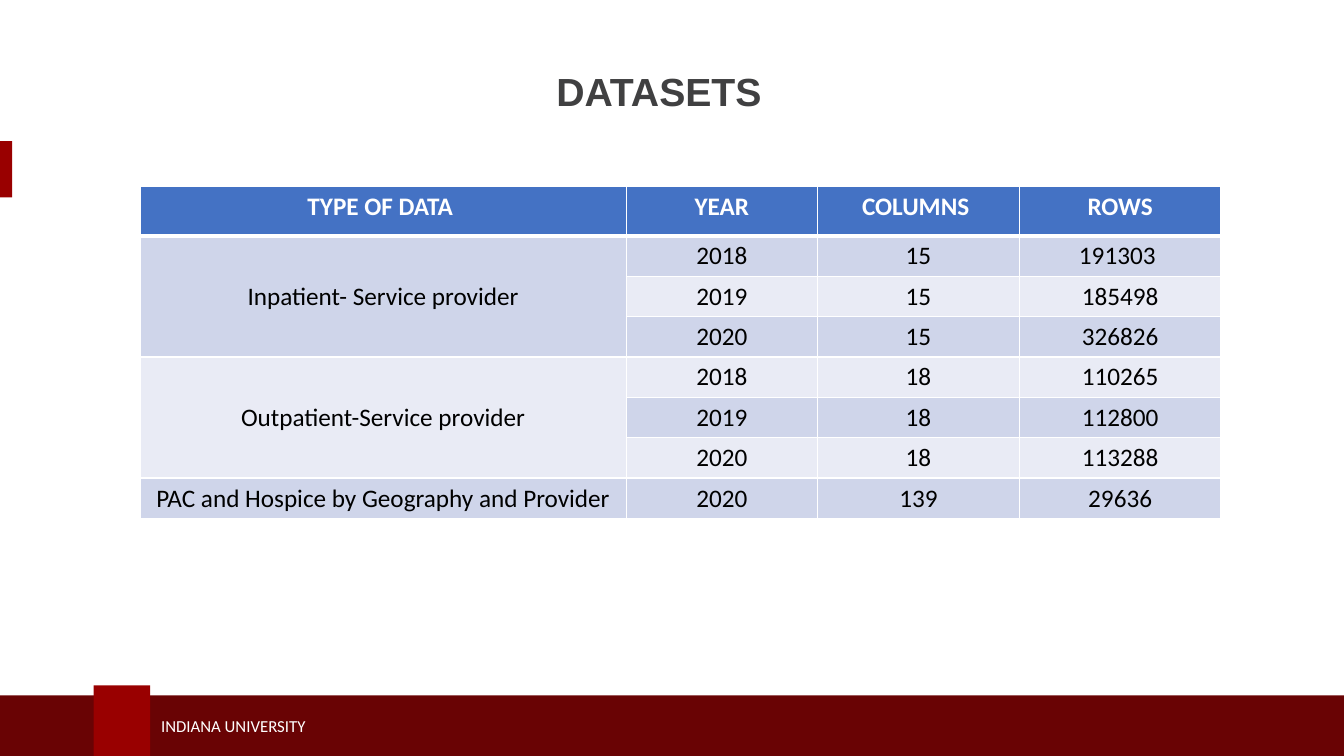
from lxml import etree
from pptx import Presentation
from pptx.dml.color import RGBColor
from pptx.enum.shapes import MSO_SHAPE
from pptx.enum.text import MSO_ANCHOR as ANCHOR, PP_ALIGN as ALIGN
from pptx.oxml.ns import qn
from pptx.util import Inches, Pt

CRIMSON = RGBColor(0x99, 0x00, 0x00)
DARK_RED = RGBColor(0x69, 0x03, 0x04)
CHARCOAL = RGBColor(0x40, 0x40, 0x41)
WHITE = RGBColor(0xFF, 0xFF, 0xFF)
BLACK = RGBColor(0, 0, 0)
HEADER_BLUE = RGBColor(0x44, 0x72, 0xC4)
BAND_DARK = RGBColor(0xCF, 0xD5, 0xEA)
BAND_LIGHT = RGBColor(0xE9, 0xEB, 0xF5)

SLIDE_W, SLIDE_H = 13.33, 7.5
COL_WIDTHS = [4.82, 1.9, 2, 2]
HEADER_H, ROW_H = 0.49, 0.4
HEADINGS = ["TYPE OF DATA ", "YEAR", "COLUMNS ", "ROWS"]
DATASETS = [
    ("Inpatient- Service provider", [
        ("2018", "15", "191303 "),
        ("2019", "15", "185498"),
        ("2020", "15", "326826")]),
    ("Outpatient-Service provider", [
        ("2018", "18", "110265"),
        ("2019", "18", "112800"),
        ("2020", "18", "113288")]),
    ("PAC and Hospice by Geography and Provider", [
        ("2020", "139", "29636")]),
]


def add_run(p, text, font, size, color, bold=False):
    r = p.add_run()
    r.text = text
    r.font.name = font
    r.font.size = Pt(size)
    r.font.bold = bold
    r.font.color.rgb = color


def add_block(slide, x, y, w, h, color):
    sp = slide.shapes.add_shape(MSO_SHAPE.RECTANGLE, Inches(x), Inches(y), Inches(w), Inches(h))
    sp.shadow.inherit = False
    sp.fill.solid()
    sp.fill.fore_color.rgb = color
    sp.line.fill.background()


def add_footer(slide, y):
    """Dark band down to the slide's foot, with a raised tab and the name."""
    tab_x, tab_w, tab_rise = 0.93, 0.56, 0.1
    add_block(slide, 0, y, SLIDE_W, SLIDE_H - y, DARK_RED)
    add_block(slide, tab_x, y - tab_rise, tab_w, SLIDE_H - y + tab_rise, CRIMSON)
    tb = slide.shapes.add_textbox(Inches(tab_x + tab_w + 0.01), Inches(y + 0.15),
                                  Inches(5.27), Inches(0.3))
    tf = tb.text_frame
    tf.word_wrap = True
    tf.vertical_anchor = ANCHOR.MIDDLE
    add_run(tf.paragraphs[0], "INDIANA UNIVERSITY", "Calibri", 12, WHITE)


def add_title(slide, x, y, w, h):
    title = slide.shapes.title
    title.left, title.top, title.width, title.height = map(Inches, (x, y, w, h))
    tf = title.text_frame
    tf.vertical_anchor = ANCHOR.MIDDLE
    p = tf.paragraphs[0]
    p.alignment = ALIGN.CENTER
    p.line_spacing = 0.9
    add_run(p, "DATASETS", "Arial", 28, CHARCOAL, bold=True)


def style_cell(cell, fill, bottom=1):
    """Solid fill with white borders on all four sides."""
    tc_pr = cell._tc.get_or_add_tcPr()
    for side, width in (("L", 1), ("R", 1), ("T", 1), ("B", bottom)):
        ln = etree.SubElement(tc_pr, qn(f"a:ln{side}"), w=str(Pt(width)))
        line_fill = etree.SubElement(ln, qn("a:solidFill"))
        etree.SubElement(line_fill, qn("a:srgbClr"), val=str(WHITE))
    cell.fill.solid()
    cell.fill.fore_color.rgb = fill


def write_cell(cell, text, color=BLACK, bold=False):
    p = cell.text_frame.paragraphs[0]
    p.alignment = ALIGN.CENTER
    add_run(p, text, "Calibri", 18, color, bold)


def add_datasets_table(slide, x, y):
    body_rows = sum(len(years) for _, years in DATASETS)
    table = slide.shapes.add_table(
        body_rows + 1, len(COL_WIDTHS), Inches(x), Inches(y),
        Inches(sum(COL_WIDTHS)), Inches(HEADER_H + body_rows * ROW_H)).table
    for col, width in zip(table.columns, COL_WIDTHS):
        col.width = Inches(width)
    for i, row in enumerate(table.rows):
        row.height = Inches(ROW_H if i else HEADER_H)
        for cell in row.cells:
            if i == 0:
                style_cell(cell, HEADER_BLUE, bottom=3)
            else:
                style_cell(cell, BAND_DARK if i % 2 else BAND_LIGHT)

    # Header row
    for c, heading in enumerate(HEADINGS):
        write_cell(table.cell(0, c), heading, WHITE, bold=True)

    # One merged name cell for each data type, one row for each year
    first = 1
    for name, years in DATASETS:
        name_cell = table.cell(first, 0)
        if len(years) > 1:
            name_cell.merge(table.cell(first + len(years) - 1, 0))
        name_cell.vertical_anchor = ANCHOR.MIDDLE
        write_cell(name_cell, name)
        for i, values in enumerate(years, first):
            for c, value in enumerate(values, 1):
                write_cell(table.cell(i, c), value)
        first += len(years)


def main():
    prs = Presentation()
    prs.slide_width, prs.slide_height = Inches(SLIDE_W), Inches(SLIDE_H)
    slide = prs.slides.add_slide(prs.slide_layouts[5])
    add_block(slide, 0, 1.4, 0.12, 0.56, CRIMSON)  # left edge accent
    add_footer(slide, 6.9)
    add_title(slide, 0.7, 0.42, 11.67, 1.02)
    add_datasets_table(slide, 1.39, 1.85)
    prs.save("out.pptx")


if __name__ == "__main__":
    main()
